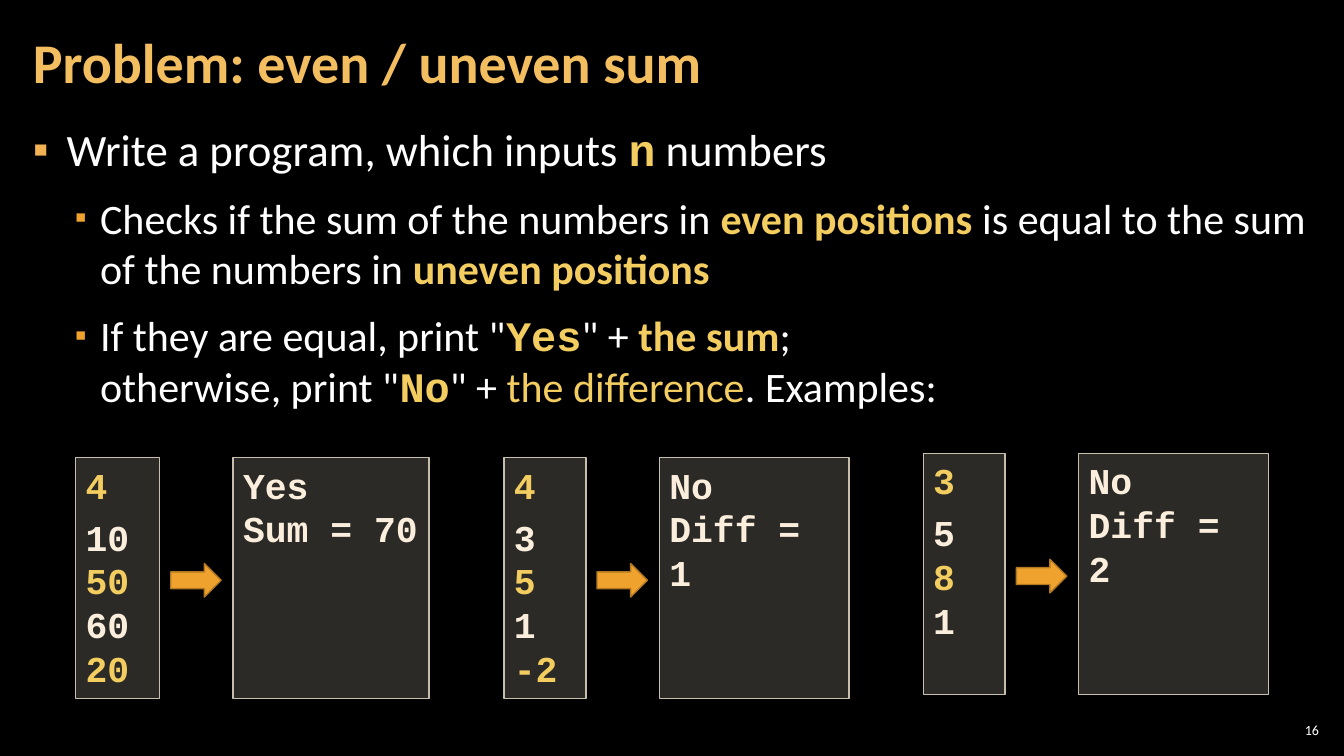
from lxml import etree
from pptx import Presentation
from pptx.dml.color import RGBColor
from pptx.enum.shapes import MSO_SHAPE as Shape
from pptx.enum.text import MSO_ANCHOR as Anchor, MSO_AUTO_SIZE as AutoSize, PP_ALIGN as Align
from pptx.oxml.ns import qn
from pptx.util import Pt

COLORS = {
    "background": "000000", "white": "FFFFFF", "title": "F3BE60",
    "yellow": "F3CD60", "cream": "FBEEDC", "box": "D9D5C7", "box line": "C7BFAC",
    "orange": "F0A22E", "orange line": "B27822", "bullet": "F2B254",
}
# Run style: font, colour, bold
STYLES = {
    "plain": ("Calibri", "white", False),
    "strong": ("Calibri", "yellow", True),
    "accent": ("Calibri", "yellow", False),
    "code": ("Courier New", "yellow", True),
}
# Level: font size, left margin, indent, bullet colour, bullet size in percent
LEVELS = [(32, 24, -24, "bullet", 100), (30, 48, -18, "orange", 80)]
LINE_BREAK = ("", None)

BULLETS = [
    (0, [("Write a program, which inputs ", "plain"), ("n", "code"), (" numbers", "plain")]),
    (1, [("Checks if the sum of the numbers in ", "plain"), ("even positions ", "strong"),
         ("is equal to the sum of the numbers in ", "plain"), ("uneven positions", "strong")]),
    (1, [('If they are equal, print "', "plain"), ("Yes", "code"), ('" + ', "plain"),
         ("the sum", "strong"), (";", "plain"), LINE_BREAK,
         ('otherwise, print "', "plain"), ("No", "code"), ('" + ', "plain"),
         ("the difference", "accent"), (". Examples:", "plain")]),
]
# Example: left, top, input width, output width, input lines, output lines
EXAMPLES = [
    (54, 327, 60, 140, ["4", "10", "50", "60", "20"], ["Yes", "Sum = 70"]),
    (360, 327, 58.5, 135.5, ["4", "3", "5", "1", "-2"], ["No", "Diff = 1"]),
    (659.5, 324, 58.5, 135.5, ["3", "5", "8", "1"], ["No", "Diff = 2"]),
]
BOX_HEIGHT = 172
ARROW_WIDTH, ARROW_HEIGHT = 36, 24
ARROW_GAP, OUTPUT_GAP = 8, 52.5


def color(name):
    return RGBColor.from_string(COLORS[name])


def set_font(font, name, size, color_name, bold=False):
    font.name, font.size, font.bold = name, Pt(size), bold
    font.color.rgb = color(color_name)


def place(shape, left, top, width, height):
    shape.left, shape.top, shape.width, shape.height = map(Pt, (left, top, width, height))


def set_frame(frame, anchor, side=9, edge=3.6):
    frame.word_wrap = True
    frame.auto_size = AutoSize.NONE
    frame.vertical_anchor = anchor
    frame.margin_left = frame.margin_right = Pt(side)
    frame.margin_top = frame.margin_bottom = Pt(edge)


def add_bullet(paragraph, margin, indent, color_name, percent):
    properties = paragraph._p.get_or_add_pPr()
    properties.set("marL", str(Pt(margin)))
    properties.set("indent", str(Pt(indent)))
    bullet_color = etree.SubElement(properties, qn("a:buClr"))
    etree.SubElement(bullet_color, qn("a:srgbClr"), val=COLORS[color_name])
    etree.SubElement(properties, qn("a:buSzPct"), val=str(percent * 1000))
    etree.SubElement(properties, qn("a:buFont"), typeface="Arial")
    etree.SubElement(properties, qn("a:buChar"), char="▪")


def add_title(slide):
    title = slide.shapes.title
    place(title, 15, 3, 754, 87)
    set_frame(title.text_frame, Anchor.MIDDLE, side=8.5, edge=2.83)
    title.text_frame.text = "Problem: even / uneven sum"
    paragraph = title.text_frame.paragraphs[0]
    paragraph.alignment = Align.LEFT
    paragraph.line_spacing = 0.9
    set_font(paragraph.font, "Calibri", 40, "title", True)


def add_body(slide):
    body = slide.placeholders[1]
    place(body, 15, 84, 929.5, 438.5)
    frame = body.text_frame
    set_frame(frame, Anchor.TOP, side=8.5, edge=2.83)
    for index, (level, runs) in enumerate(BULLETS):
        paragraph = frame.add_paragraph() if index else frame.paragraphs[0]
        size, *bullet = LEVELS[level]
        paragraph.level = level
        add_bullet(paragraph, *bullet)
        paragraph.space_before = Pt(6 if index else 0)
        paragraph.space_after = Pt(6)
        for text, style in runs:
            if style is None:
                paragraph.add_line_break()
                continue
            run = paragraph.add_run()
            run.text = text
            name, color_name, bold = STYLES[style]
            set_font(run.font, name, size, color_name, bold)


def add_shape(slide, kind, bounds, fill, line):
    shape = slide.shapes.add_shape(kind, *map(Pt, bounds))
    shape.shadow.inherit = False
    shape.fill.solid()
    shape.fill.fore_color.rgb = color(fill)
    shape.line.color.rgb = color(line)
    shape.line.width = Pt(1)
    return shape


def add_code_box(slide, bounds, lines, line_colors, first_gap=0):
    """Draw a translucent box; line colours repeat in turn."""
    box = add_shape(slide, Shape.RECTANGLE, bounds, "box", "box line")
    fill_color = box.fill._xPr.find(qn("a:solidFill"))[0]
    etree.SubElement(fill_color, qn("a:alpha"), val="20000")
    frame = box.text_frame
    set_frame(frame, Anchor.TOP, side=7.2)
    frame.text = "\n".join(lines)
    for index, paragraph in enumerate(frame.paragraphs):
        paragraph.alignment = Align.LEFT
        paragraph.space_before = Pt(first_gap if index == 1 else 0)
        set_font(paragraph.font, "Courier New", 26, line_colors[index % len(line_colors)], True)


def add_example(slide, left, top, input_width, output_width, inputs, outputs):
    input_right = left + input_width
    add_code_box(slide, (left, top, input_width, BOX_HEIGHT), inputs, ["yellow", "cream"], 6)
    add_code_box(slide, (input_right + OUTPUT_GAP, top, output_width, BOX_HEIGHT),
                 outputs, ["cream"])
    arrow_top = top + (BOX_HEIGHT - ARROW_HEIGHT) / 2 + 1.5
    add_shape(slide, Shape.RIGHT_ARROW,
              (input_right + ARROW_GAP, arrow_top, ARROW_WIDTH, ARROW_HEIGHT),
              "orange", "orange line")


def add_slide_number(slide):
    box = slide.shapes.add_textbox(Pt(911), Pt(514), Pt(34), Pt(15))
    set_frame(box.text_frame, Anchor.MIDDLE, side=2.83, edge=2.83)
    box.text_frame.text = "16"
    paragraph = box.text_frame.paragraphs[0]
    paragraph.alignment = Align.RIGHT
    set_font(paragraph.font, "Calibri", 10, "white")


def main():
    presentation = Presentation()
    presentation.slide_width, presentation.slide_height = Pt(960), Pt(540)
    slide = presentation.slides.add_slide(presentation.slide_layouts[1])
    slide.background.fill.solid()
    slide.background.fill.fore_color.rgb = color("background")

    add_title(slide)
    add_body(slide)
    for example in EXAMPLES:
        add_example(slide, *example)
    add_slide_number(slide)
    presentation.save("out.pptx")


if __name__ == "__main__":
    main()
